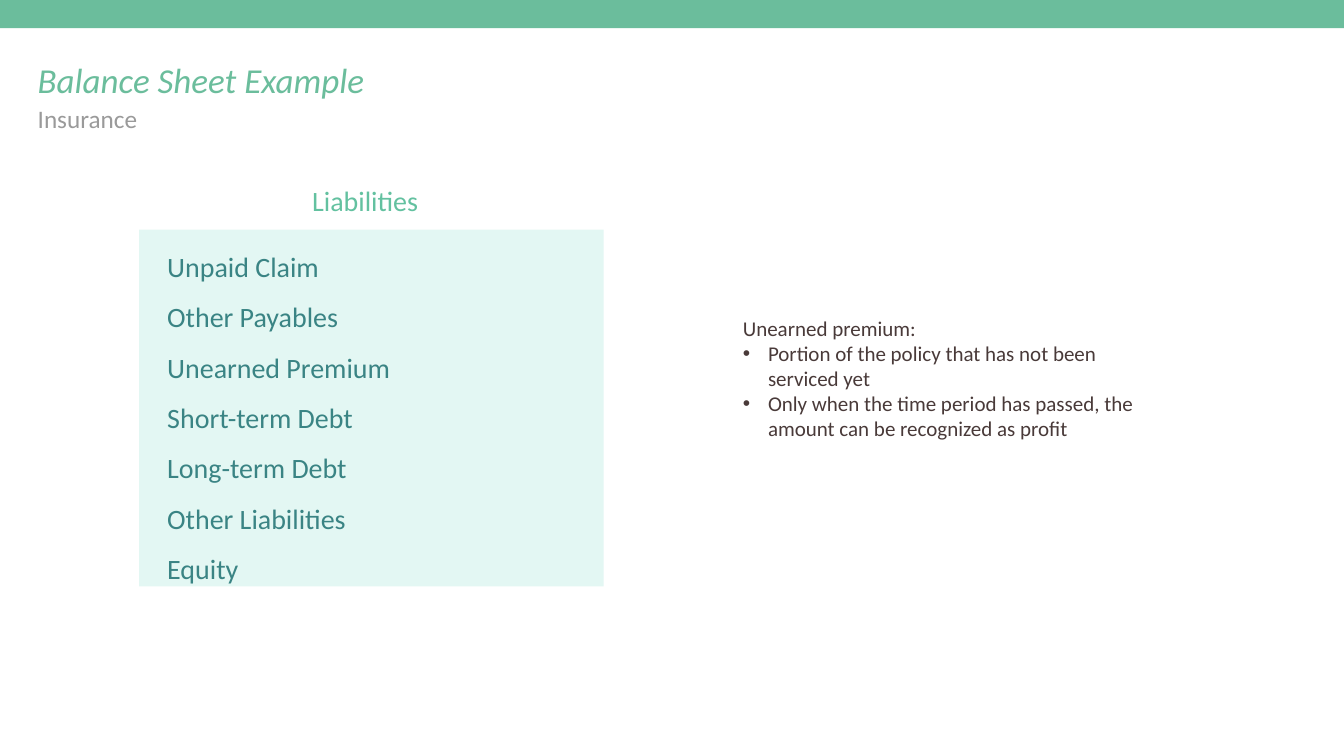
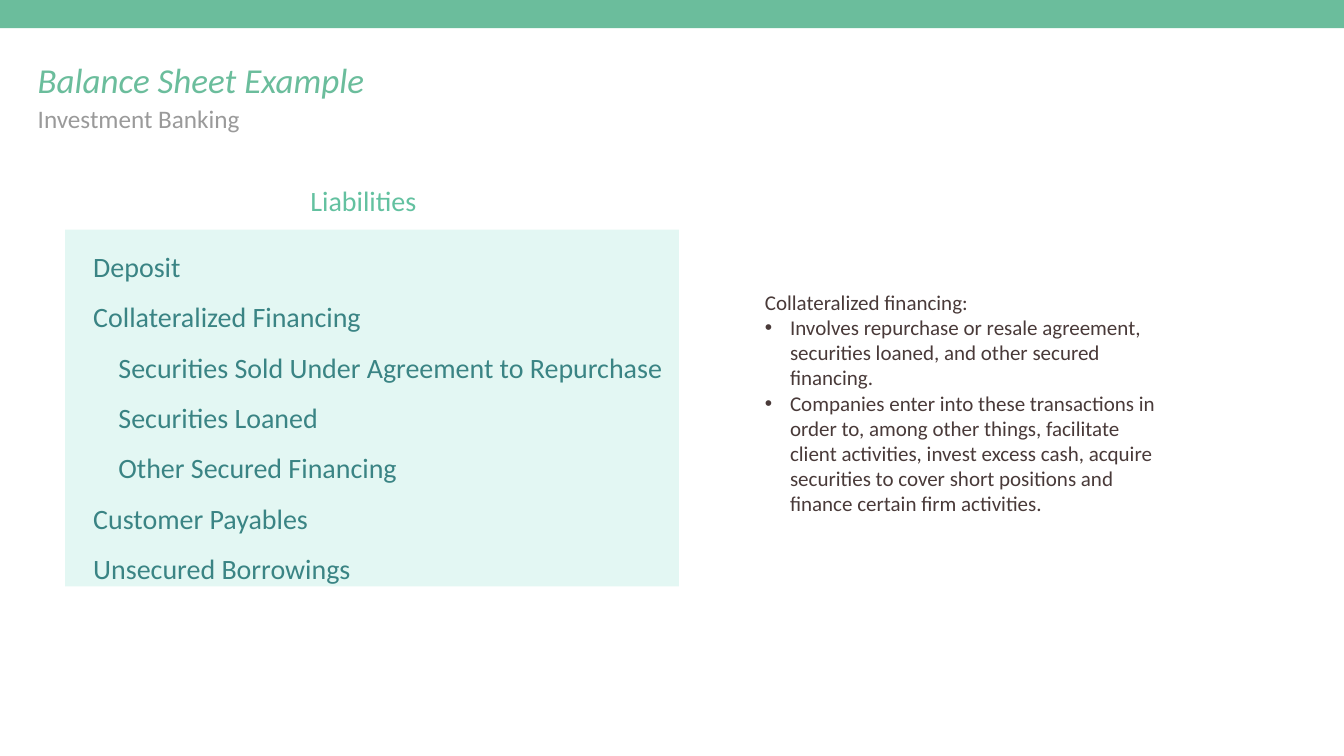
from dataclasses import dataclass

from lxml.etree import SubElement
from pptx import Presentation
from pptx.dml.color import RGBColor
from pptx.enum.shapes import MSO_SHAPE
from pptx.enum.text import MSO_ANCHOR, PP_ALIGN
from pptx.oxml.ns import qn
from pptx.util import Cm, Pt

TITLE = "Balance Sheet Example"
HEAD = "Liabilities"

# Rows are (level, text); boxes are (left, width); notes are (left, top, height), in cm.
SLIDES = [
    {
        "topic": "Insurance",
        "topic_width": 5.36,
        "panel": (7.01, 23.42),
        "head": (8.64, 19.53),
        "rows": [
            (0, "Unpaid Claim"),
            (0, "Other Payables"),
            (0, "Unearned Premium"),
            (0, "Short-term Debt"),
            (0, "Long-term Debt"),
            (0, "Other Liabilities"),
            (0, "Equity"),
        ],
        "note": (37.29, 15.7, 6.71),
        "term": "Unearned premium:",
        "points": [
            "Portion of the policy that has not been serviced yet",
            "Only when the time period has passed, the amount can be recognized as profit",
        ],
    },
    {
        "topic": "Investment Banking",
        "topic_width": 10.62,
        "panel": (3.28, 30.94),
        "head": (5.41, 25.81),
        "rows": [
            (0, "Deposit"),
            (0, "Collateralized Financing"),
            (1, "Securities Sold Under Agreement to Repurchase"),
            (1, "Securities Loaned"),
            (1, "Other Secured Financing"),
            (0, "Customer Payables"),
            (0, "Unsecured Borrowings"),
        ],
        "note": (38.4, 14.38, 11.84),
        "term": "Collateralized financing:",
        "points": [
            "Involves repurchase or resale agreement, securities loaned, "
            "and other secured financing.",
            "Companies enter into these transactions in order to, among other things, "
            "facilitate client activities, invest excess cash, acquire securities to "
            "cover short positions and finance certain firm activities.",
        ],
    },
]


@dataclass(frozen=True)
class Theme:
    font: str = "Calibri"
    green: str = "6BBD9C"
    mint: str = "63C1A0"
    pale: str = "E3F7F3"
    teal: str = "3A8484"
    grey: str = "9A9A9A"
    brown: str = "493A39"
    title: int = 50
    topic: int = 36
    body: int = 40
    note: int = 30


THEME = Theme()
WIDTH, HEIGHT = 67.74, 38.1
STEP = 1.27
INSET = 0.15


def add_rect(slide, left, top, width, height, color):
    rect = slide.shapes.add_shape(
        MSO_SHAPE.RECTANGLE, Cm(left), Cm(top), Cm(width), Cm(height))
    rect.shadow.inherit = False
    rect.fill.solid()
    rect.fill.fore_color.rgb = RGBColor.from_string(color)
    rect.line.fill.background()
    return rect


def add_box(slide, left, top, width, height):
    return slide.shapes.add_textbox(Cm(left), Cm(top), Cm(width), Cm(height))


def write(shape, lines, size, color, align=PP_ALIGN.LEFT,
          anchor=MSO_ANCHOR.TOP, italic=False):
    """Fill the shape with one paragraph per line and return the paragraphs."""
    frame = shape.text_frame
    frame.word_wrap = True
    frame.vertical_anchor = anchor
    frame.margin_left = frame.margin_right = Cm(INSET)
    frame.margin_top = frame.margin_bottom = Cm(INSET)
    frame.text = "\n".join(lines)
    for para in frame.paragraphs:
        para.alignment = align
        for run in para.runs:
            run.font.name = THEME.font
            run.font.size = Pt(size)
            run.font.italic = italic
            run.font.color.rgb = RGBColor.from_string(color)
    return frame.paragraphs


def indent(para, left, first):
    props = para._p.get_or_add_pPr()
    props.set("marL", str(Cm(left)))
    props.set("indent", str(Cm(first)))
    return props


def add_bullet(para):
    props = indent(para, STEP, -STEP)
    SubElement(props, qn("a:buFont")).set("typeface", "Arial")
    SubElement(props, qn("a:buChar")).set("char", "•")


def add_header(slide, data):
    add_rect(slide, 0, 0, WIDTH, 1.42, THEME.green)
    write(add_box(slide, 1.75, 2.82, 16.97, 2.41), [TITLE],
          THEME.title, THEME.green, italic=True)
    write(add_box(slide, 1.75, 5.05, data["topic_width"], 1.83), [data["topic"]],
          THEME.topic, THEME.grey)


def add_panel(slide, data):
    left, width = data["panel"]
    panel = add_rect(slide, left, 11.57, width, 17.98, THEME.pale)
    texts = [text for _, text in data["rows"]]
    paras = write(panel, texts, THEME.body, THEME.teal)
    for para, (level, _) in zip(paras, data["rows"]):
        para.line_spacing = 1.5
        indent(para, 0, STEP * (level + 1))
    left, width = data["head"]
    write(add_box(slide, left, 9.08, width, 2.01), [HEAD], THEME.body, THEME.mint,
          PP_ALIGN.CENTER, MSO_ANCHOR.MIDDLE)


def add_note(slide, data):
    left, top, height = data["note"]
    paras = write(add_box(slide, left, top, 20.7, height),
                  [data["term"], *data["points"]],
                  THEME.note, THEME.brown, anchor=MSO_ANCHOR.MIDDLE)
    for para in paras[1:]:
        add_bullet(para)


def main():
    deck = Presentation()
    deck.slide_width, deck.slide_height = Cm(WIDTH), Cm(HEIGHT)
    for data in SLIDES:
        slide = deck.slides.add_slide(deck.slide_layouts[6])
        add_header(slide, data)
        add_panel(slide, data)
        add_note(slide, data)
    deck.save("out.pptx")


if __name__ == "__main__":
    main()
